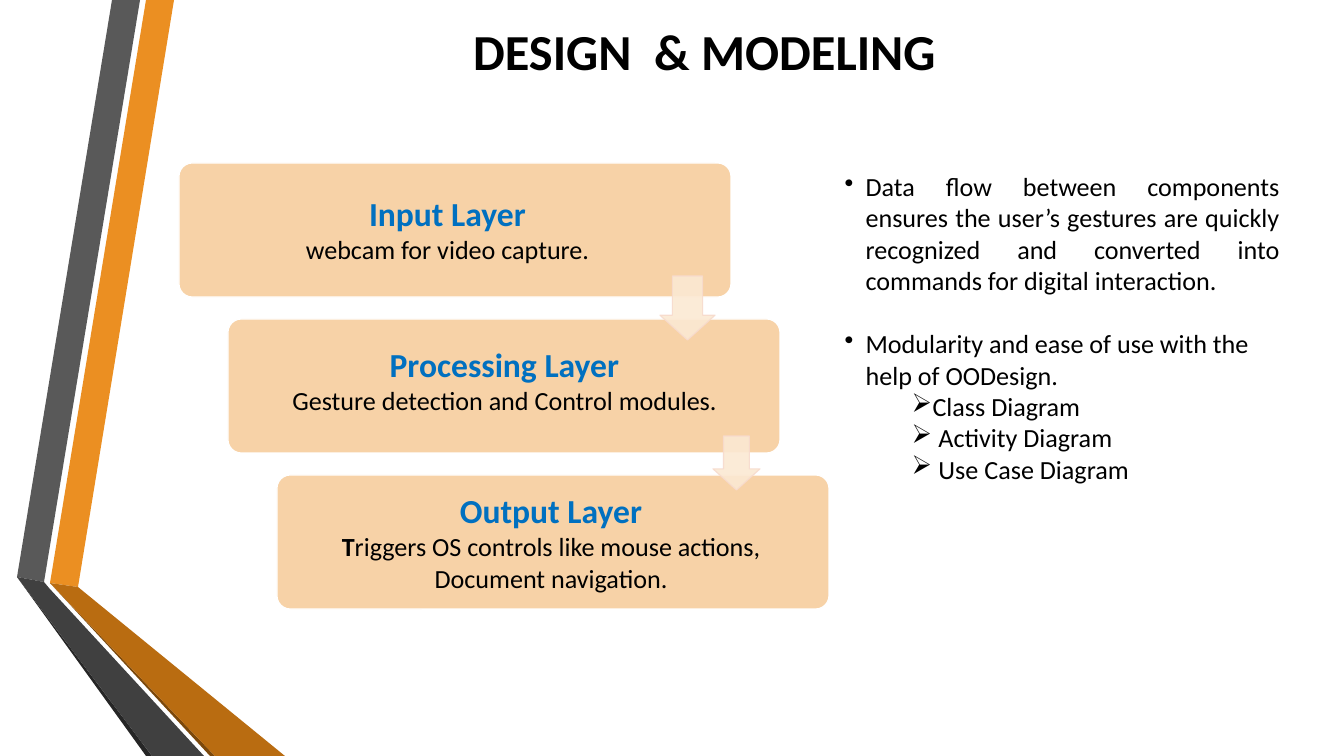
from lxml import etree
from pptx import Presentation
from pptx.dml.color import RGBColor
from pptx.enum.shapes import MSO_SHAPE
from pptx.enum.text import MSO_ANCHOR, PP_ALIGN
from pptx.oxml.ns import qn
from pptx.util import Pt

PX = 914400 / 67.2
ROUND, DOWN = MSO_SHAPE.ROUNDED_RECTANGLE, MSO_SHAPE.DOWN_ARROW
CENTER, JUSTIFY, LEFT = PP_ALIGN.CENTER, PP_ALIGN.JUSTIFY, PP_ALIGN.LEFT
MIDDLE = MSO_ANCHOR.MIDDLE
FONT = "Calibri"
COLORS = {
    "orange": "EB8F22", "grey": "595959", "black": "262626", "umber": "7B480B",
    "brown": "B96C11", "dark": "404040", "card": "F7D2A7", "white": "FFFFFF",
    "arrow": "FBE9D3", "edge": "F7DBCD", "head": "0070C0", "text": "000000",
}

TITLE = "DESIGN  & MODELING"
RIBBONS = [
    ("orange", [(50, 583), (78, 587), (174, 0), (146, 0)]),
    ("grey", [(140, 0), (112, 0), (17, 577), (44, 582)]),
    ("black", [(17, 577), (146, 756), (152, 756)]),
    ("umber", [(50, 583), (210, 756), (215, 756)]),
    ("brown", [(50, 583), (215, 756), (285, 756), (78, 587)]),
    ("dark", [(204, 756), (49, 588), (44, 582), (17, 577), (152, 756)]),
]
# heading, (text, bold) runs, text box
LAYERS = [
    ("Input Layer", [("webcam for video capture.", False)], (181, 190, 533, 111)),
    ("Processing Layer", [("Gesture detection and Control modules.", False)],
     (247, 341, 515, 111)),
    ("Output Layer",
     [("T", True),
      ("riggers OS controls like mouse actions, Document navigation.", False)],
     (302, 487, 498, 142)),
]
ARROWS = [(660, 276, 55, 64), (713, 436, 47, 54)]
# text, level, alignment, points of space before
NOTES = [
    ("Data flow between components ensures the user’s gestures are quickly "
     "recognized and converted into commands for digital interaction.", 0, JUSTIFY, 0),
    ("Modularity and ease of use with the help of OODesign.", 0, LEFT, 34),
    ("Class Diagram", 1, LEFT, 0),
    (" Activity Diagram", 1, LEFT, 0),
    (" Use Case Diagram", 1, LEFT, 0),
]
BULLETS = [("•", 21), ("➢", 88)]  # mark, left margin
HANG = 21


def px(*nums):
    return [round(n * PX) for n in nums]


def color(name):
    return RGBColor.from_string(COLORS[name])


def paint(shape, fill, line=None):
    shape.shadow.inherit = False
    shape.fill.solid()
    shape.fill.fore_color.rgb = color(fill)
    if line:
        shape.line.color.rgb = color(line)
        shape.line.width = Pt(1.25)
    else:
        shape.line.fill.background()


def fade(shape, percent):
    """Set the opacity of the fill and the line."""
    for tint in shape.element.spPr.iter(qn("a:srgbClr")):
        etree.SubElement(tint, qn("a:alpha"), val=str(percent * 1000))


def style(para, size, tint, bold=None, align=CENTER):
    para.alignment = align
    font = para.font
    font.name, font.size, font.bold = FONT, Pt(size), bold
    font.color.rgb = color(tint)


def add_text(shapes, box):
    frame = shapes.add_textbox(*px(*box)).text_frame
    frame.word_wrap = True
    return frame


def add_bullet(para, level):
    mark, left = BULLETS[level]
    props = para._p.get_or_add_pPr()
    margin, hang = px(left, -HANG)
    props.set("marL", str(margin))
    props.set("indent", str(hang))
    # bullets precede the default run properties in the schema
    bullet = etree.Element(qn("a:buChar"), char=mark)
    props.find(qn("a:defRPr")).addprevious(bullet)


def main():
    prs = Presentation()
    prs.slide_width, prs.slide_height = px(1344, 756)
    slide = prs.slides.add_slide(prs.slide_layouts[5])
    shapes = slide.shapes

    for tint, points in RIBBONS:
        pen = shapes.build_freeform(*points[0], scale=PX)
        pen.add_line_segments(points[1:], close=True)
        paint(pen.convert_to_shape(), tint)

    title = shapes.title
    title.left, title.top, title.width, title.height = px(146, 26, 1117, 48)
    title.text_frame.text = TITLE
    title.text_frame.vertical_anchor = MIDDLE
    style(title.text_frame.paragraphs[0], 54, "text", True)

    for i in range(len(LAYERS)):
        card = shapes.add_shape(ROUND, *px(179 + 49 * i, 163 + 156 * i, 552, 134))
        card.adjustments[0] = 0.1
        paint(card, "card", "white")
    for box in ARROWS:
        arrow = shapes.add_shape(DOWN, *px(*box))
        arrow.adjustments[0], arrow.adjustments[1] = 0.55, 0.45
        paint(arrow, "arrow", "edge")
        fade(arrow, 90)

    for head, runs, box in LAYERS:
        frame = add_text(shapes, box)
        para = frame.paragraphs[0]
        para.text = head
        style(para, 36, "head", True)
        para = frame.add_paragraph()
        style(para, 28, "text")
        for text, bold in runs:
            run = para.add_run()
            run.text, run.font.bold = text, bold

    frame = add_text(shapes, (838, 167, 448, 323))
    for i, (text, level, align, space) in enumerate(NOTES):
        para = frame.add_paragraph() if i else frame.paragraphs[0]
        para.text, para.level = text, level
        para.space_before = Pt(space)
        style(para, 28, "text", align=align)
        add_bullet(para, level)

    prs.save("out.pptx")


if __name__ == "__main__":
    main()
